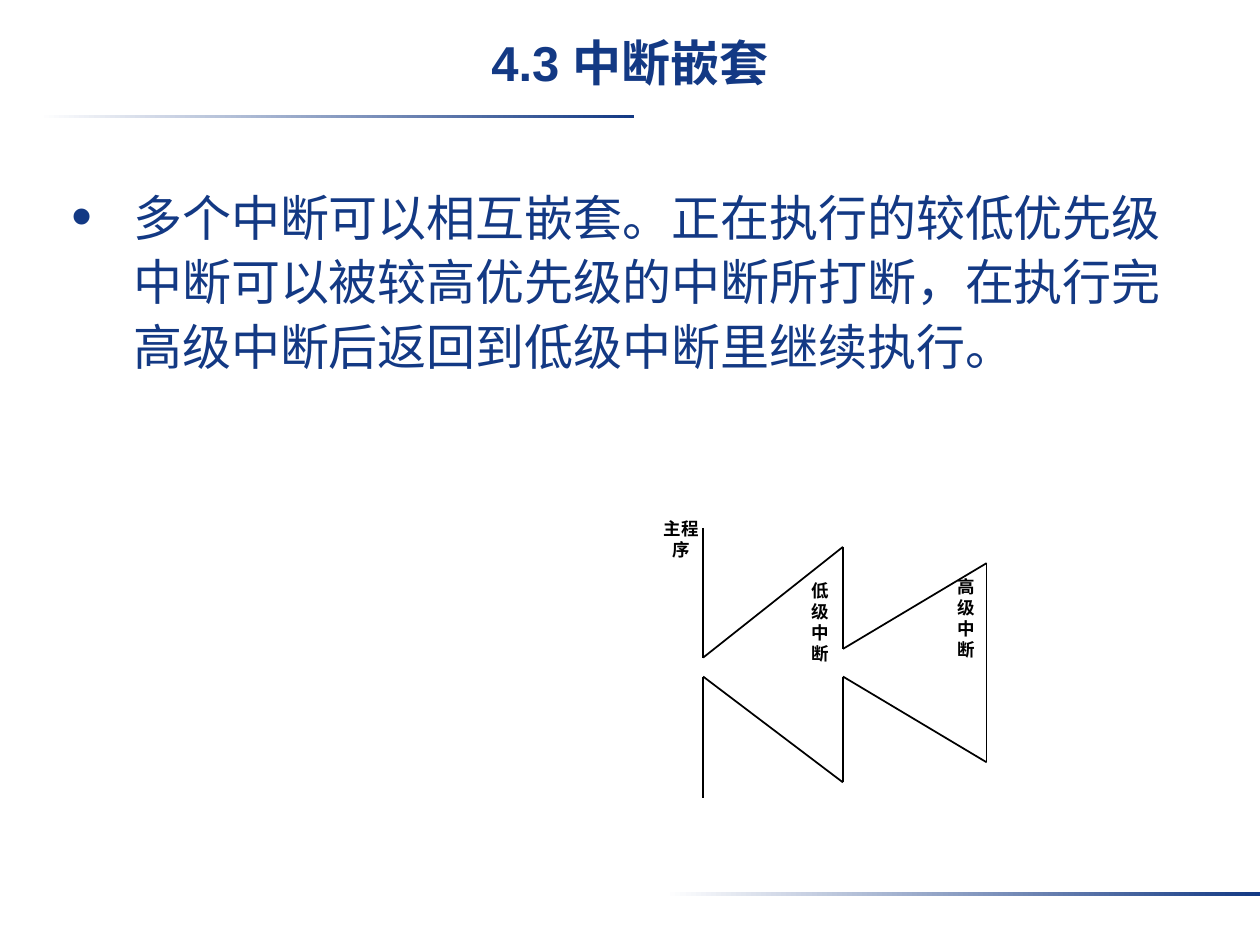
from lxml import etree
from pptx import Presentation
from pptx.dml.color import RGBColor
from pptx.enum.shapes import MSO_CONNECTOR, MSO_SHAPE
from pptx.enum.text import MSO_ANCHOR, MSO_AUTO_SIZE, PP_ALIGN
from pptx.oxml.ns import qn
from pptx.util import Pt

LINE = MSO_CONNECTOR.STRAIGHT
RECT = MSO_SHAPE.RECTANGLE
TOP = MSO_ANCHOR.TOP
CENTER = PP_ALIGN.CENTER
FIXED = MSO_AUTO_SIZE.NONE

HEX = {"navy": "133984", "white": "FFFFFF", "black": "000000"}
RGB = {name: RGBColor.from_string(code) for name, code in HEX.items()}


def style(para, face, size, color, bold):
    font = para.font
    font.name, font.size, font.bold = face, Pt(size), bold
    font.color.rgb = RGB[color]


def set_box(shape, text, left, top, width, height):
    shape.left, shape.top = Pt(left), Pt(top)
    shape.width, shape.height = Pt(width), Pt(height)
    frame = shape.text_frame
    frame.text = text
    frame.word_wrap = True
    frame.auto_size = FIXED
    frame.vertical_anchor = TOP
    return frame.paragraphs[0]


prs = Presentation()
prs.slide_width, prs.slide_height = Pt(720), Pt(540)
slide = prs.slides.add_slide(prs.slide_layouts[5])
shapes = slide.shapes

# Title
title = shapes.title
para = set_box(title, "4.3 中断嵌套", 0, 14.4, 720, 54)
title.text_frame.margin_top = Pt(4.3)
para.alignment = CENTER
style(para, "Arial", 28, "navy", True)

# Fading rules below the title and at the foot
for left, top in ((22.3, 65.5), (380.2, 509.8)):
    rule = shapes.add_shape(RECT, Pt(left), Pt(top), Pt(339.8), Pt(2.2))
    rule.shadow.inherit = False
    rule.line.fill.background()
    rule.fill.gradient()
    rule.fill.gradient_angle = 0
    for stop, tone in zip(rule.fill.gradient_stops, ("white", "navy")):
        stop.color.rgb = RGB[tone]

# Body text with a bullet
body = shapes.add_textbox(0, 0, 0, 0)
para = set_box(
    body,
    "多个中断可以相互嵌套。正在执行的较低优先级中断可以被较高优先级的中断所打断，"
    "在执行完高级中断后返回到低级中断里继续执行。",
    33.8, 100.1, 648, 398.9)
para.line_spacing = 1.1
para.space_before = Pt(7)
style(para, "Arial", 28, "navy", False)
props = para._p.get_or_add_pPr()
props.set("marL", str(Pt(35.3)))
props.set("indent", str(-Pt(35.3)))
tint = etree.SubElement(props, qn("a:buClr"))
etree.SubElement(tint, qn("a:srgbClr"), val=HEX["navy"])
etree.SubElement(props, qn("a:buSzPct"), val="120000")
etree.SubElement(props, qn("a:buFont"), typeface="Arial")
etree.SubElement(props, qn("a:buChar"), char="•")

# Nesting diagram: main program, low and high interrupt
group = shapes.add_group_shape().shapes
main, low, high = 401.8, 481.7, 563.8
paths = (
    # Going in
    ((main, 301.7), (main, 375.8), (low, 312.5), (low, 370.8),
     (high, 321.8), (high, 435.6)),
    # Coming back
    ((high, 435.6), (low, 386.6), (low, 447.1), (main, 386.6),
     (main, 455.8)),
)
for path in paths:
    for start, end in zip(path, path[1:]):
        edge = group.add_connector(LINE, *(Pt(n) for n in start + end))
        edge.line.color.rgb = RGB["black"]
        edge.line.width = Pt(1)
        etree.SubElement(edge._element.spPr, qn("a:effectLst"))

labels = (
    ("主程序", 371.5, 292.3, 35.3, 93.6),
    ("低级中断", 452.9, 327.6, 31.7, 107.3),
    ("高级中断", 536.4, 325.4, 31.7, 107.3),
)
for label in labels:
    para = set_box(group.add_textbox(0, 0, 0, 0), *label)
    para.alignment = CENTER
    style(para, "Calibri", 10, "black", True)

prs.save("out.pptx")
